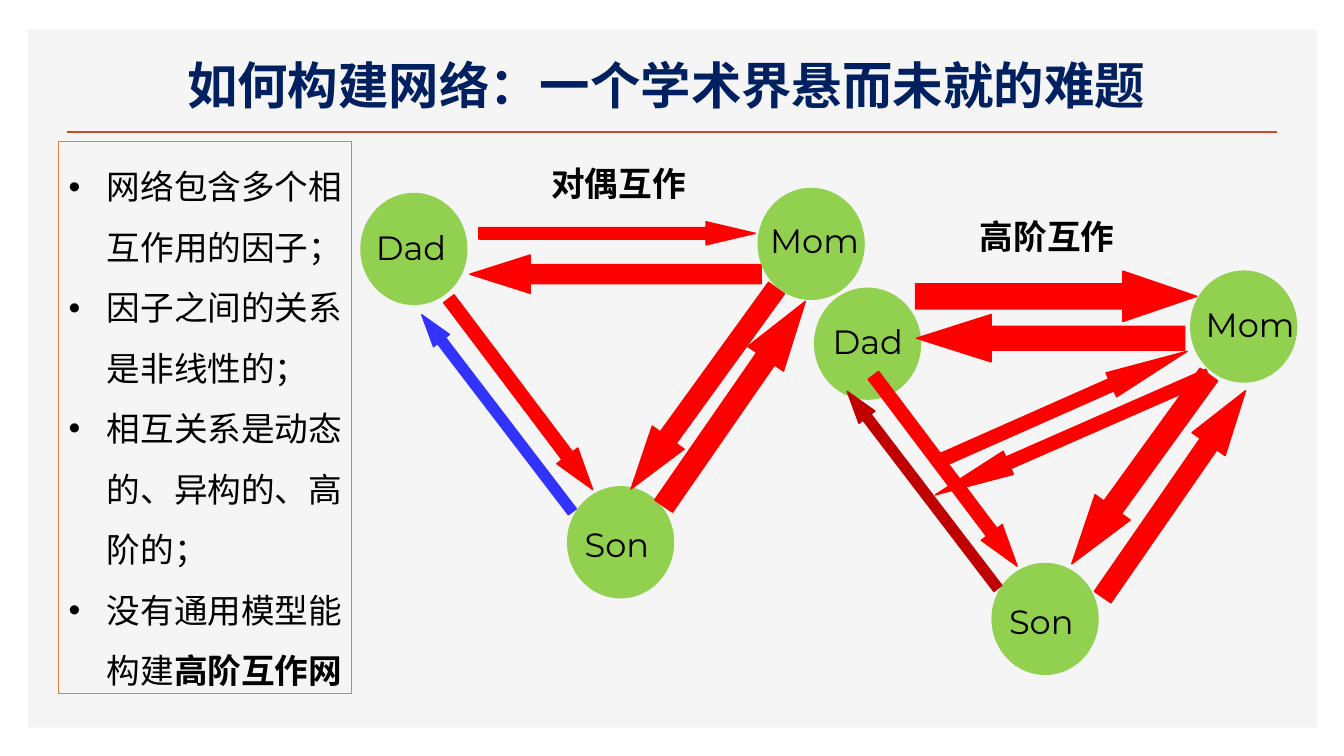
from dataclasses import dataclass

from lxml.etree import SubElement
from pptx import Presentation
from pptx.dml.color import RGBColor
from pptx.enum.shapes import MSO_CONNECTOR as Connector, MSO_SHAPE as Shape
from pptx.enum.text import MSO_ANCHOR as Anchor, MSO_AUTO_SIZE as AutoSize, PP_ALIGN as Align
from pptx.oxml.ns import qn
from pptx.util import Emu, Pt

EMU_PER_PX = 9144  # 100 px to the inch


@dataclass(frozen=True)
class Theme:
    panel: str = "F5F5F5"
    rule: str = "D24726"
    title: str = "002060"
    frame: str = "ED7D31"
    text: str = "000000"
    node: str = "92D050"
    strong: str = "FF0000"
    blue: str = "3333FF"
    dark: str = "C00000"
    title_size: int = 36
    text_size: int = 24
    cjk_font: str = "Noto Sans CJK SC"
    body_font: str = "Lato"
    node_font: str = "Montserrat"


THEME = Theme()


@dataclass(frozen=True)
class Node:
    name: str
    left: int
    top: int
    label_dx: int
    label_dy: int


@dataclass(frozen=True)
class Arrow:
    left: int
    top: int
    width: int
    height: int
    rotation: float
    head: float = 1.61
    color: str = THEME.strong


@dataclass(frozen=True)
class Caption:
    text: str
    left: int
    top: int


NODE_WIDTH, NODE_HEIGHT = 105, 110
LABEL_WIDTH, CAPTION_WIDTH, LABEL_HEIGHT = 108, 163, 50

TITLE = "如何构建网络：一个学术界悬而未就的难题"
# Each point is a plain part and a bold part
POINTS = (
    ("网络包含多个相互作用的因子；", ""),
    ("因子之间的关系是非线性的；", ""),
    ("相互关系是动态的、异构的、高阶的；", ""),
    ("没有通用模型能构建", "高阶互作网"),
)

# Both networks, from back to front
NETWORKS = (
    Node("Dad", 358, 192, 5, 28),
    Node("Dad", 808, 286, 8, 27),
    Node("Son", 563, 483, 7, 32),
    Arrow(475, 220, 274, 23, 0, 2.12),
    Arrow(466, 253, 289, 38, 180, 1.573),
    Arrow(398, 378, 237, 26, 53),
    Arrow(575, 366, 246, 39, 125.9),
    Arrow(605, 379, 247, 43, 304.7),
    Arrow(370, 400, 246, 20, 232.6, color=THEME.blue),
    Caption("对偶互作", 537, 157),
    Node("Mom", 752, 187, 2, 26),
    Node("Mom", 1181, 269, 5, 28),
    Node("Son", 984, 559, 7, 32),
    Arrow(908, 269, 279, 50, 0, 1.466),
    Arrow(909, 312, 266, 47, 180, 1.573),
    Arrow(819, 454, 237, 26, 53),
    Arrow(1015, 444, 232, 43, 125.9),
    Arrow(1040, 470, 249, 40, 304.7),
    Arrow(792, 476, 246, 20, 232.6, color=THEME.dark),
    Arrow(915, 419, 296, 25, 156.3, 3.166),
    Arrow(920, 390, 269, 26, 336.1, 3.166),
    Caption("高阶互作", 962, 209),
)


def px(length: int) -> Emu:
    return Emu(length * EMU_PER_PX)


def box(*lengths: int) -> list[Emu]:
    return [px(length) for length in lengths]


def rgb(color: str) -> RGBColor:
    return RGBColor.from_string(color)


def style_run(run, font: str, size: int, color: str, bold: bool = False) -> None:
    run.font.name = font
    run.font.size = Pt(size)
    run.font.bold = bold
    run.font.color.rgb = rgb(color)
    east_asian = SubElement(run.font._element, qn("a:ea"))
    east_asian.set("typeface", THEME.cjk_font)


def place(placeholder, left: int, top: int, width: int, height: int) -> None:
    placeholder.left, placeholder.top, placeholder.width, placeholder.height = box(
        left, top, width, height)
    placeholder.text_frame.auto_size = AutoSize.NONE


def add_filled(slide, kind: Shape, bounds: list[Emu], color: str, outlined: bool = True):
    shape = slide.shapes.add_shape(kind, *bounds)
    shape.shadow.inherit = False
    shape.fill.solid()
    shape.fill.fore_color.rgb = rgb(color)
    if outlined:
        shape.line.color.rgb = rgb(color)
        shape.line.width = Pt(1)
    else:
        shape.line.fill.background()
    return shape


def add_label(slide, text: str, bounds: list[Emu], font: str, bold: bool = False) -> None:
    frame = slide.shapes.add_textbox(*bounds).text_frame
    frame.word_wrap = True
    frame.text = text
    style_run(frame.paragraphs[0].runs[0], font, THEME.text_size, THEME.text, bold)


def draw_node(slide, node: Node) -> None:
    add_filled(slide, Shape.OVAL, box(node.left, node.top, NODE_WIDTH, NODE_HEIGHT), THEME.node)
    label = box(node.left + node.label_dx, node.top + node.label_dy, LABEL_WIDTH, LABEL_HEIGHT)
    add_label(slide, node.name, label, THEME.node_font)


def draw_arrow(slide, arrow: Arrow) -> None:
    bounds = box(arrow.left, arrow.top, arrow.width, arrow.height)
    shape = add_filled(slide, Shape.RIGHT_ARROW, bounds, arrow.color)
    shape.adjustments[0] = 0.5
    shape.adjustments[1] = arrow.head
    shape.rotation = arrow.rotation


def draw_caption(slide, caption: Caption) -> None:
    bounds = box(caption.left, caption.top, CAPTION_WIDTH, LABEL_HEIGHT)
    add_label(slide, caption.text, bounds, THEME.body_font, bold=True)


def draw_background(slide) -> None:
    panel = add_filled(slide, Shape.RECTANGLE, box(28, 29, 1278, 693), THEME.panel, outlined=False)
    slide.shapes._spTree.insert(2, panel._element)  # behind the placeholders
    rule = slide.shapes.add_connector(Connector.STRAIGHT, *box(66, 131, 1267, 131))
    rule.line.color.rgb = rgb(THEME.rule)
    rule.line.width = Pt(2)
    SubElement(rule._element.spPr, qn("a:effectLst"))


def write_title(slide) -> None:
    title = slide.shapes.title
    place(title, 57, 49, 1207, 70)
    title.text_frame.vertical_anchor = Anchor.BOTTOM
    title.text_frame.text = TITLE
    heading = title.text_frame.paragraphs[0]
    heading.alignment = Align.CENTER
    style_run(heading.runs[0], THEME.cjk_font, THEME.title_size, THEME.title, bold=True)


def write_points(slide) -> None:
    points = slide.placeholders[1]
    place(points, 58, 140, 291, 548)
    points.line.color.rgb = rgb(THEME.frame)
    points.line.width = Pt(0.75)
    frame = points.text_frame
    frame.margin_right = px(7)
    frame.text = "\n".join(plain for plain, _ in POINTS)
    for paragraph, (_, strong) in zip(frame.paragraphs, POINTS):
        properties = paragraph._p.get_or_add_pPr()
        properties.set("marL", str(px(38)))
        properties.set("indent", str(px(-38)))
        paragraph.line_spacing = 1.5
        paragraph.space_before = Pt(0)
        style_run(paragraph.runs[0], THEME.body_font, THEME.text_size, THEME.text)
        if strong:
            ending = paragraph.add_run()
            ending.text = strong
            style_run(ending, THEME.body_font, THEME.text_size, THEME.text, bold=True)


def main() -> None:
    deck = Presentation()
    deck.slide_width, deck.slide_height = box(1333, 750)
    slide = deck.slides.add_slide(deck.slide_layouts[1])
    draw_background(slide)
    write_title(slide)
    write_points(slide)
    draw = {Node: draw_node, Arrow: draw_arrow, Caption: draw_caption}
    for part in NETWORKS:
        draw[type(part)](slide, part)
    deck.save("out.pptx")


if __name__ == "__main__":
    main()
